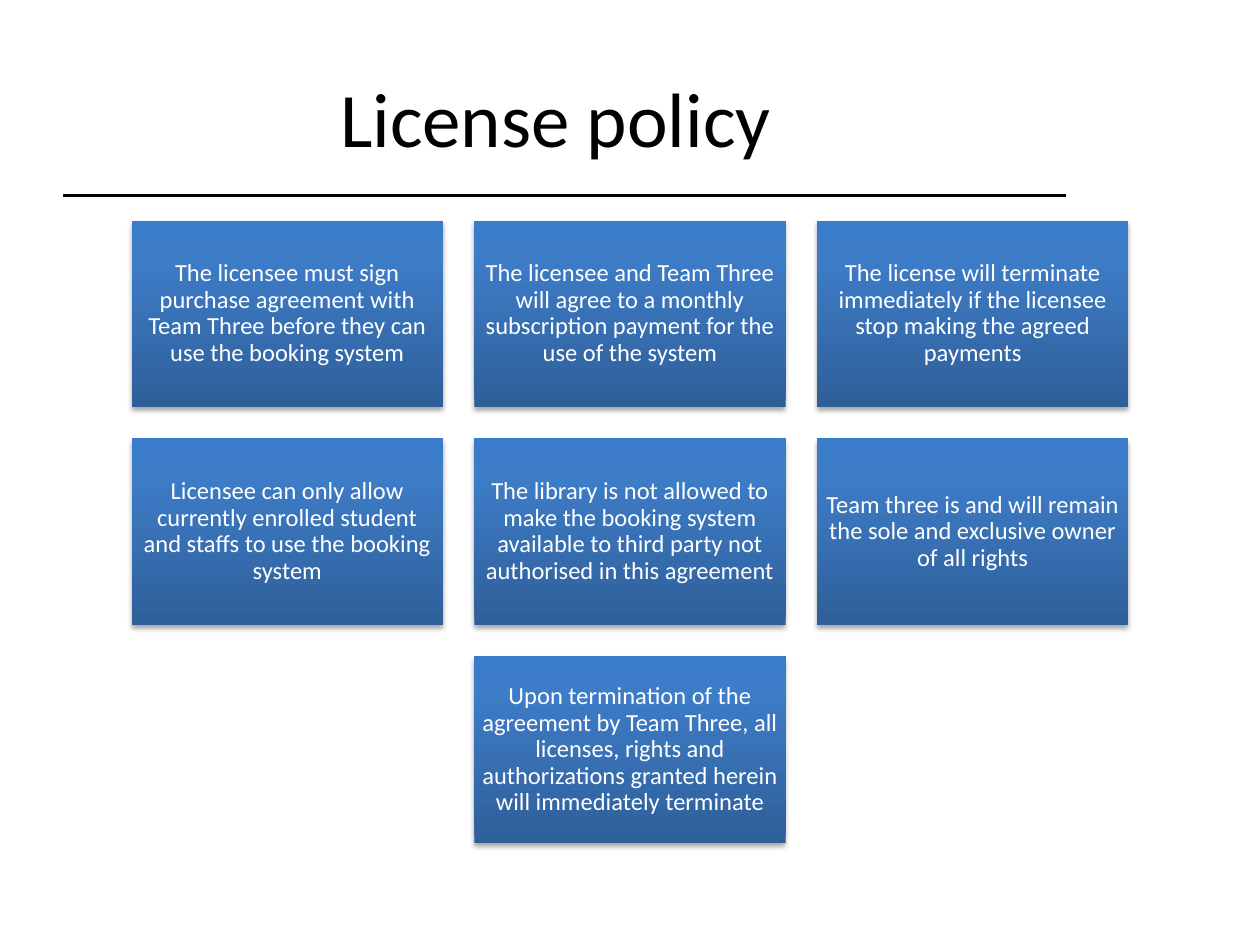
"""Build the license policy slide: a ruled title above a grid of term cards."""
from copy import deepcopy

from lxml import etree
from pptx import Presentation
from pptx.dml.color import RGBColor
from pptx.enum import shapes, text
from pptx.oxml import parse_xml
from pptx.oxml.ns import nsdecls, qn
from pptx.util import Inches, Pt

TITLE = "License policy "
ROWS = [
    ["The licensee must sign purchase agreement with Team Three before they can use the booking system",
     "The licensee and Team Three will agree to a monthly subscription payment for the use of the system",
     "The license will terminate immediately if the licensee stop making the agreed payments"],
    ["Licensee can only allow currently enrolled student and staffs to use the booking system",
     "The library is not allowed to make the booking system available to third party not authorised in this agreement",
     "Team three is and will remain the sole and exclusive owner of all rights"],
    ["Upon termination of the agreement by Team Three, all licenses, rights and authorizations "
     "granted herein will immediately terminate"],
]
COLORS = {"ink": "000000", "card_text": "FFFFFF",
          "bottom": "2F5F99", "upper": "3D7CC7", "top": "3A7CCB"}
STOPS = [(0, "bottom"), (0.8, "upper"), (1, "top")]
FONT = "Calibri"
SLIDE_W, SLIDE_H = 10, 7.5
TITLE_BOX = (0.5, 0.3, 7.96, 1.25)
CARD_W, CARD_H, GAP, GRID_TOP = 2.47, 1.48, 0.25, 1.75
INSET = 0.06


def rgb(name):
    return RGBColor.from_string(COLORS[name])


def style_text(p, size, color):
    p.alignment = text.PP_ALIGN.CENTER
    p.font.name, p.font.size = FONT, Pt(size)
    p.font.color.rgb = rgb(color)


def add_title(s):
    left, top, width, height = TITLE_BOX
    bottom = top + height
    rule = s.shapes.add_connector(shapes.MSO_CONNECTOR.STRAIGHT, Inches(left), Inches(bottom),
                                  Inches(left + width), Inches(bottom))
    rule.line.color.rgb, rule.line.width = rgb("ink"), Pt(1.5)
    etree.SubElement(rule._element.spPr, qn("a:effectLst"))
    title = s.shapes.title
    title.left, title.top, title.width, title.height = map(Inches, TITLE_BOX)
    tf = title.text_frame
    tf.text = TITLE
    tf.vertical_anchor = text.MSO_ANCHOR.MIDDLE
    style_text(tf.paragraphs[0], 44, "ink")


def paint_card(sp):
    sp.line.fill.background()
    sp.fill.gradient()
    sp.fill.gradient_angle = 90
    spPr = sp._element.spPr
    first = spPr.find(".//" + qn("a:gs"))
    first.addnext(deepcopy(first))
    for stop, (position, color) in zip(sp.fill.gradient_stops, STOPS):
        stop.position, stop.color.rgb = position, rgb(color)
    sp.shadow.inherit = False
    spPr.find(qn("a:effectLst")).append(parse_xml(
        f'<a:outerShdw {nsdecls("a")} blurRad="{Pt(3.1)}" dist="{Pt(1.8)}" dir="5400000" rotWithShape="0">'
        f'<a:srgbClr val="{COLORS["ink"]}"><a:alpha val="35000"/></a:srgbClr></a:outerShdw>'))


def add_card(s, left, top, term):
    sp = s.shapes.add_shape(shapes.MSO_SHAPE.RECTANGLE, Inches(left), Inches(top),
                            Inches(CARD_W), Inches(CARD_H))
    paint_card(sp)
    tf = sp.text_frame
    tf.text, tf.word_wrap = term, True
    tf.vertical_anchor = text.MSO_ANCHOR.MIDDLE
    tf.margin_left = tf.margin_right = tf.margin_top = tf.margin_bottom = Inches(INSET)
    p = tf.paragraphs[0]
    p.line_spacing = 0.9
    style_text(p, 14, "card_text")


def main():
    prs = Presentation()
    prs.slide_width, prs.slide_height = Inches(SLIDE_W), Inches(SLIDE_H)
    s = prs.slides.add_slide(prs.slide_layouts[5])
    add_title(s)
    for row, terms in enumerate(ROWS):
        row_width = len(terms) * (CARD_W + GAP) - GAP
        for col, term in enumerate(terms):
            left = (SLIDE_W - row_width) / 2 + col * (CARD_W + GAP)
            add_card(s, left, GRID_TOP + row * (CARD_H + GAP), term)
    prs.save("out.pptx")


if __name__ == "__main__":
    main()
